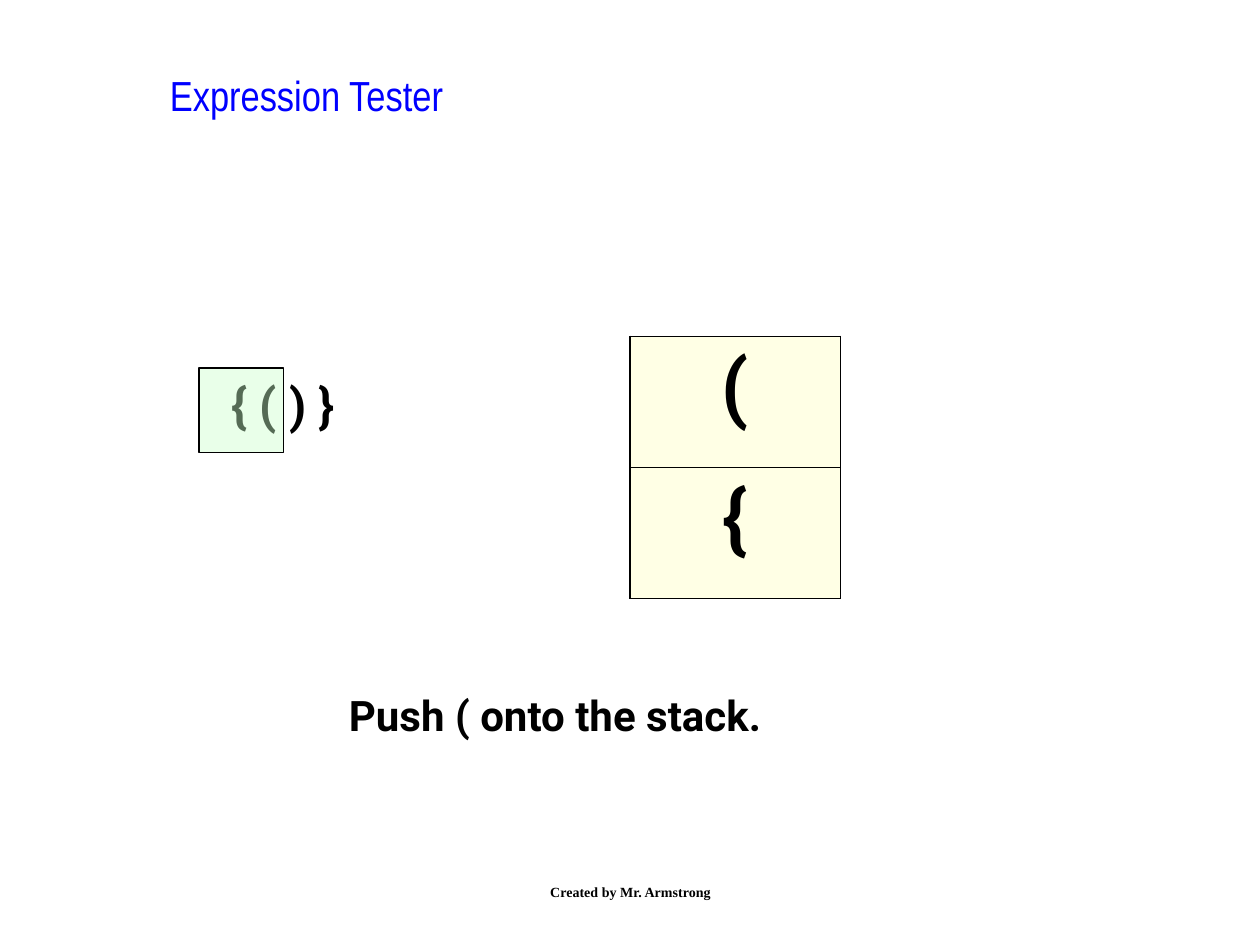
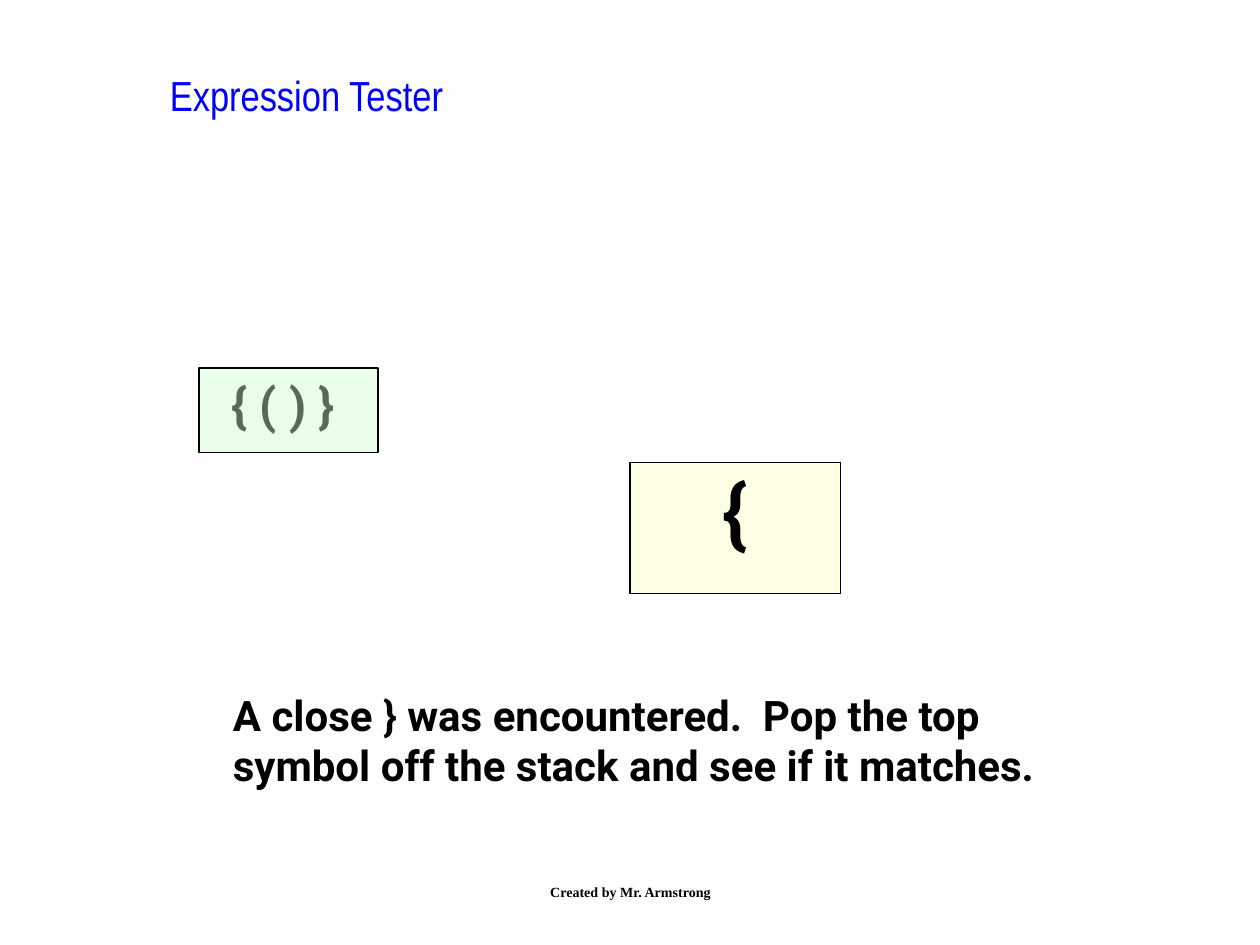
"""Build two slides that step through a bracket test with a stack."""
from dataclasses import dataclass

from lxml.etree import fromstring
from pptx import Presentation
from pptx.dml.color import RGBColor as RGB
from pptx.enum.shapes import MSO_SHAPE as Shape
from pptx.enum.text import MSO_ANCHOR as Anchor
from pptx.enum.text import MSO_AUTO_SIZE as Fit
from pptx.enum.text import PP_ALIGN as Align
from pptx.oxml.ns import qn
from pptx.util import Inches, Pt

NS = "http://schemas.openxmlformats.org/drawingml/2006/main"


@dataclass(frozen=True)
class Theme:
    ink: RGB = RGB(0, 0, 0)
    blue: RGB = RGB(0, 0, 255)
    green: RGB = RGB(204, 255, 204)
    cream: RGB = RGB(255, 255, 204)
    body: str = "Roboto"
    head: str = "Arial Narrow"
    foot: str = "Times New Roman"
    symbol: int = 44
    code: int = 28
    text: int = 24
    small: int = 8
    thick: float = 1.08
    thin: float = 0.45


theme = Theme()


def write(frame, text, size, face=theme.body, color=theme.ink, bold=True, align=Align.LEFT):
    para = frame.paragraphs[0]
    para.text = text
    para.alignment = align
    font = para.font
    font.size, font.name, font.bold = Pt(size), face, bold
    font.color.rgb = color


def tint(fill, color, alpha):
    fill.solid()
    fill.fore_color.rgb = color
    tone = fill._xPr.find(qn("a:solidFill"))[0]
    tone.append(fromstring(f'<a:alpha xmlns:a="{NS}" val="{alpha * 1000}"/>'))


steps = [
    ("Push ( onto the stack.", 2.67, 4.08, 0.5, 0.67, 2.67, "({"),
    ("A close } was encountered.  Pop the top\vsymbol off the stack and see if it matches.",
     1.75, 7.33, 0.9, 1.42, 3.67, "{"),
]

deck = Presentation()
deck.slide_width, deck.slide_height = Inches(10), Inches(7.5)

for note, left, width, height, seen, top, stack in steps:
    slide = deck.slides.add_slide(deck.slide_layouts[6])
    shapes = slide.shapes

    code = shapes.add_textbox(Inches(1.74), Inches(2.92), Inches(1.07), Inches(1.04)).text_frame
    code.word_wrap = False
    code.auto_size = Fit.SHAPE_TO_FIT_TEXT
    write(code, "{ ( ) }", theme.code)

    hint = shapes.add_textbox(Inches(left), Inches(5.42), Inches(width), Inches(height)).text_frame
    hint.word_wrap = True
    hint.auto_size = Fit.SHAPE_TO_FIT_TEXT
    write(hint, note, theme.text)

    title = shapes.add_textbox(Inches(1.25), Inches(0.5), Inches(7.17), Inches(0.83)).text_frame
    title.word_wrap = False
    write(title, "Expression Tester", theme.text, theme.head, theme.blue, False)

    cover = shapes.add_shape(Shape.RECTANGLE, Inches(1.58), Inches(2.92), Inches(seen), Inches(0.67))
    cover.shadow.inherit = False
    tint(cover.fill, theme.green, 42)
    cover.line.color.rgb = theme.ink
    cover.line.width = Pt(0.75)

    count = len(stack)
    table = shapes.add_table(count, 1, Inches(5), Inches(top), Inches(1.67), Inches(1.04 * count)).table
    table.first_row = table.horz_banding = False
    for row, mark in enumerate(stack):
        cell = table.cell(row, 0)
        cell.margin_left = cell.margin_right = Inches(0.1)
        cell.margin_top = cell.margin_bottom = Inches(0.05)
        write(cell.text_frame, mark, theme.symbol, align=Align.CENTER)
        tint(cell.fill, theme.cream, 50)
        above = theme.thin if row else theme.thick
        below = theme.thin if row < count - 1 else theme.thick
        edges = [("L", theme.thick), ("R", theme.thick), ("T", above), ("B", below)]
        for spot, (side, size) in enumerate(edges):
            cell._tc.tcPr.insert(spot, fromstring(
                f'<a:ln{side} xmlns:a="{NS}" w="{int(Pt(size))}"><a:solidFill>'
                f'<a:srgbClr val="{theme.ink}"/></a:solidFill></a:ln{side}>'))

    foot = shapes.add_textbox(Inches(3.42), Inches(6.83), Inches(3.17), Inches(0.5)).text_frame
    foot.word_wrap = True
    foot.vertical_anchor = Anchor.MIDDLE
    write(foot, "Created by Mr. Armstrong", theme.small, theme.foot, align=Align.CENTER)

deck.save("out.pptx")
